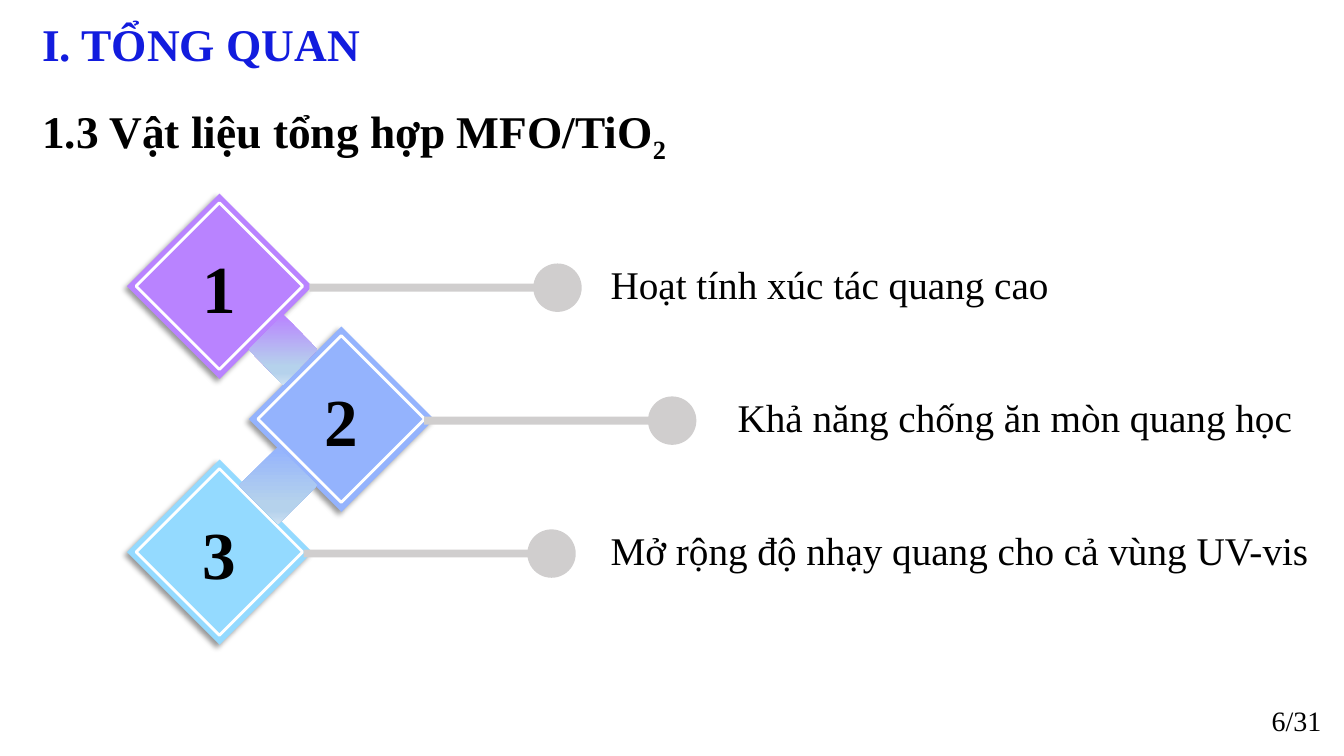
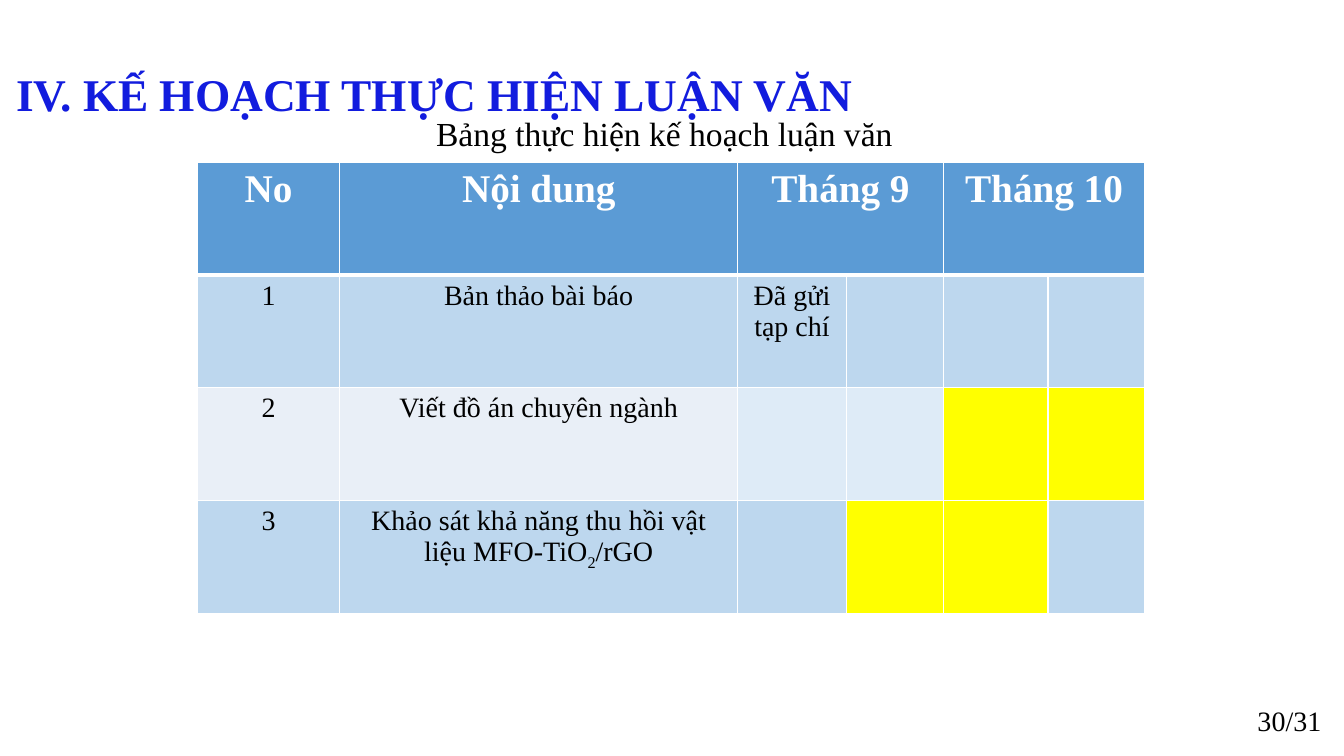
"""Build two thesis slides: material overview and work plan."""
from dataclasses import dataclass

from lxml.etree import SubElement
from pptx import Presentation
from pptx.dml.color import RGBColor
from pptx.enum.shapes import MSO_SHAPE
from pptx.enum.text import MSO_ANCHOR, MSO_AUTO_SIZE, PP_ALIGN
from pptx.oxml.ns import qn
from pptx.util import Cm, Pt


@dataclass(frozen=True)
class Theme:
    """Colours and type sizes of the deck."""
    face: str = "Times New Roman"
    ink: str = "000000"
    white: str = "FFFFFF"
    blue: str = "121CDE"
    grey: str = "D0CECE"
    fade: tuple = ((74, "B5D2EC"), (83, "B5D2EC"), (100, "CEE1F2"))
    tints: tuple = ("B983FF", "94B3FD", "94DAFF")
    head: str = "5B9BD5"
    band: str = "BDD7EE"
    pale: str = "E9EFF7"
    light: str = "DEEBF7"
    mark: str = "FFFF00"
    title: float = 32.4
    badge: float = 48
    label: float = 28
    note: float = 24
    small: float = 20


T = Theme()
STEPS = (
    (3.2, 7.8, 15.14, "Hoạt tính xúc tác quang cao"),
    (6.27, 10.69, 18.34, "Khả năng chống ăn mòn quang học"),
    (3.2, 7.65, 15.14, "Mở rộng độ nhạy quang cho cả vùng UV-vis"),
)
LINKS = {1: (6.27, 7.92, 1.73, 1.78), 2: (6.02, 11.25, 1.98, 1.96)}
COLS = (3.58, 10.03, 2.74, 2.44, 2.64, 2.44)
ROWS = (
    ("No", "Nội dung", "Tháng 9", "", "Tháng 10", ""),
    ("1", "Bản thảo bài báo", "Đã gửi tạp chí", "", "", ""),
    ("2", "Viết đồ án chuyên ngành", "", "", "", ""),
    ("3", "Khảo sát khả năng thu hồi vật liệu MFO-TiO_2_/rGO", "", "", "", ""),
)
FILLS = (
    (T.head,) * 6,
    (T.band,) * 6,
    (T.pale,) * 2 + (T.light,) * 2 + (T.mark,) * 2,
    (T.band,) * 3 + (T.mark,) * 2 + (T.band,),
)


def write(para, text, size, color=T.ink, bold=False, align=PP_ALIGN.LEFT):
    """Set a paragraph's text; parts between underscores are subscript."""
    first, *rest = text.split("_")
    para.text = first
    for part in rest:
        para.add_run().text = part
    para.alignment = align
    for i, run in enumerate(para.runs):
        font = run.font
        font.name, font.size, font.bold = T.face, Pt(size), bold
        font.color.rgb = RGBColor.from_string(color)
        if i % 2:
            run._r.get_or_add_rPr().set("baseline", "-25000")


def place(shape, box):
    """Move and size a shape by a box in centimetres."""
    shape.left, shape.top, shape.width, shape.height = map(Cm, box)


def add_title(slide, box, head, sub=None):
    """Fill the title placeholder with a heading and a subheading."""
    place(slide.shapes.title, box)
    frame = slide.shapes.title.text_frame
    frame.auto_size = MSO_AUTO_SIZE.NONE
    frame.vertical_anchor = MSO_ANCHOR.TOP
    write(frame.paragraphs[0], head, T.title, T.blue, True)
    if sub:
        para = frame.add_paragraph()
        para.space_before = Pt(23.4)
        write(para, sub, T.title, T.ink, True)


def add_text(slide, box, text, size, align=PP_ALIGN.LEFT,
             anchor=MSO_ANCHOR.TOP):
    """Add one line of text."""
    frame = slide.shapes.add_textbox(*map(Cm, box)).text_frame
    frame.word_wrap = True
    frame.vertical_anchor = anchor
    write(frame.paragraphs[0], text, size, align=align)


def add_page(slide, text):
    """Add the page count at the lower right."""
    add_text(slide, (25.65, 17.65, 7.9, 1.02), text, T.small,
             PP_ALIGN.RIGHT, MSO_ANCHOR.MIDDLE)


def add_form(home, kind, box, fill=None, line=None):
    """Add a flat preset shape with an optional fill and outline."""
    shape = home.shapes.add_shape(kind, *map(Cm, box))
    shape.shadow.inherit = False
    if fill:
        shape.fill.solid()
        shape.fill.fore_color.rgb = RGBColor.from_string(fill)
    else:
        shape.fill.background()
    if line:
        shape.line.color.rgb = RGBColor.from_string(line)
        shape.line.width = Pt(2)
    else:
        shape.line.fill.background()
    return shape


def add_tint(node, color):
    """Append a colour element to an XML node."""
    return SubElement(node, qn("a:srgbClr"), val=color)


def cast(shape):
    """Give a shape a soft shadow at its lower left."""
    effect = shape._element.spPr.find(qn("a:effectLst"))
    soft = SubElement(effect, qn("a:outerShdw"), blurRad="50800",
                      dist="38100", dir="8100000", algn="tr",
                      rotWithShape="0")
    SubElement(add_tint(soft, T.ink), qn("a:alpha"), val="40000")


def add_link(home, box, color):
    """Add the fading diamond that ties two steps together."""
    shape = add_form(home, MSO_SHAPE.DIAMOND, box)
    shape.fill.gradient()
    shape.fill.gradient_angle = 270
    stops = shape._element.spPr.find(".//" + qn("a:gsLst"))
    stops.clear()
    for pos, tint in ((0, color), *T.fade):
        add_tint(SubElement(stops, qn("a:gs"), pos=str(pos * 1000)), tint)


def add_step(slide, i):
    """Add a numbered diamond with its bar, dot and label."""
    left, bar, text, label = STEPS[i]
    top = 4.88 + 3.35 * i
    mid = top + 2.37
    group = slide.shapes.add_group_shape()
    badge = add_form(group, MSO_SHAPE.DIAMOND, (left, top, 4.67, 4.67),
                     T.tints[i])
    cast(badge)
    badge.text_frame.vertical_anchor = MSO_ANCHOR.MIDDLE
    write(badge.text_frame.paragraphs[0], str(i + 1), T.badge, bold=True,
          align=PP_ALIGN.CENTER)
    add_form(group, MSO_SHAPE.DIAMOND,
             (left + 0.23, top + 0.23, 4.2, 4.2), line=T.white)
    if i in LINKS:
        add_link(group, LINKS[i], T.tints[i - 1])
    add_form(group, MSO_SHAPE.RECTANGLE, (bar, mid - 0.1, 5.79, 0.2), T.grey)
    add_form(group, MSO_SHAPE.OVAL,
             (bar + 5.64, mid - 0.61, 1.22, 1.22), T.grey)
    add_text(slide, (text, top + 1.55, 33.75 - text, 1.45), label, T.label)


def add_edges(cell, row):
    """Draw white cell borders, heavier below the header."""
    props = cell._tc.get_or_add_tcPr()
    heavy = {0: "B", 1: "T"}.get(row)
    for side in "LRTB":
        width = Pt(3 if side == heavy else 1)
        line = SubElement(props, qn(f"a:ln{side}"), w=str(width))
        add_tint(SubElement(line, qn("a:solidFill")), T.white)


def add_plan(slide):
    """Add the work plan table."""
    table = slide.shapes.add_table(
        len(ROWS), len(COLS), Cm(4.98), Cm(4.09), Cm(sum(COLS)),
        Cm(2.84 * len(ROWS))).table
    table.horz_banding = False
    for col, width in zip(table.columns, COLS):
        col.width = Cm(width)
    for r, (texts, fills) in enumerate(zip(ROWS, FILLS)):
        table.rows[r].height = Cm(2.84)
        size, color = (T.small, T.ink) if r else (T.label, T.white)
        for c, (text, fill) in enumerate(zip(texts, fills)):
            cell = table.cell(r, c)
            add_edges(cell, r)
            cell.fill.solid()
            cell.fill.fore_color.rgb = RGBColor.from_string(fill)
            write(cell.text_frame.paragraphs[0], text, size, color, not r,
                  PP_ALIGN.CENTER)
    for c in (2, 4):
        table.cell(0, c).merge(table.cell(0, c + 1))


def main():
    """Build and save the deck."""
    deck = Presentation()
    deck.slide_width, deck.slide_height = Cm(33.87), Cm(19.05)
    layout = deck.slide_layouts[5]

    slide = deck.slides.add_slide(layout)
    add_title(slide, (0.81, 0.27, 20.24, 4), "I. TỔNG QUAN",
              "1.3 Vật liệu tổng hợp MFO/TiO_2")
    for i in range(len(STEPS)):
        add_step(slide, i)
    add_page(slide, "6/31")

    slide = deck.slides.add_slide(layout)
    add_title(slide, (0.15, 1.53, 33.55, 1.6),
              "IV. KẾ HOẠCH THỰC HIỆN LUẬN VĂN")
    add_plan(slide)
    add_text(slide, (10.74, 2.72, 12.4, 1.27),
             "Bảng thực hiện kế hoạch luận văn", T.note)
    add_page(slide, "30/31")

    deck.save("out.pptx")


if __name__ == "__main__":
    main()
